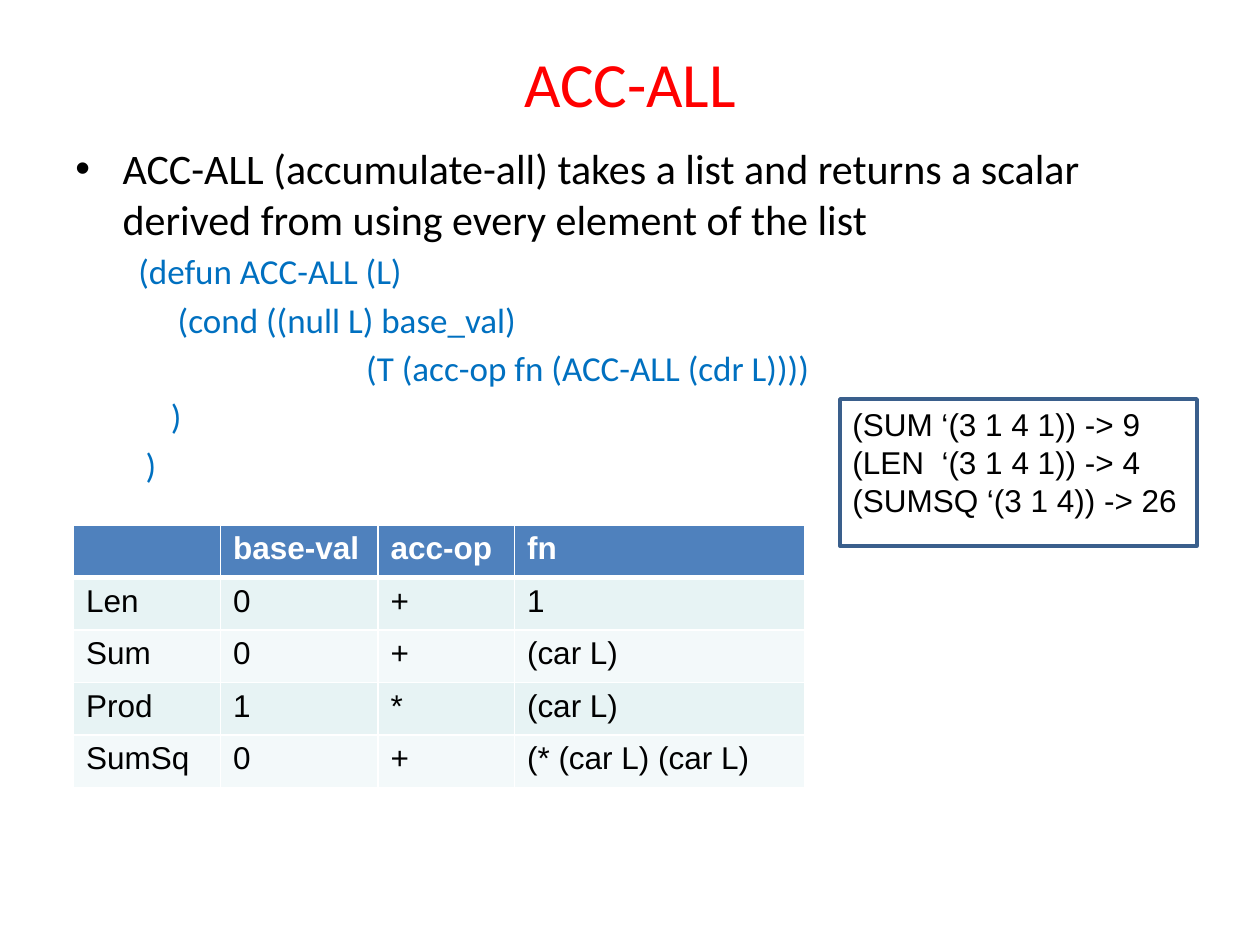
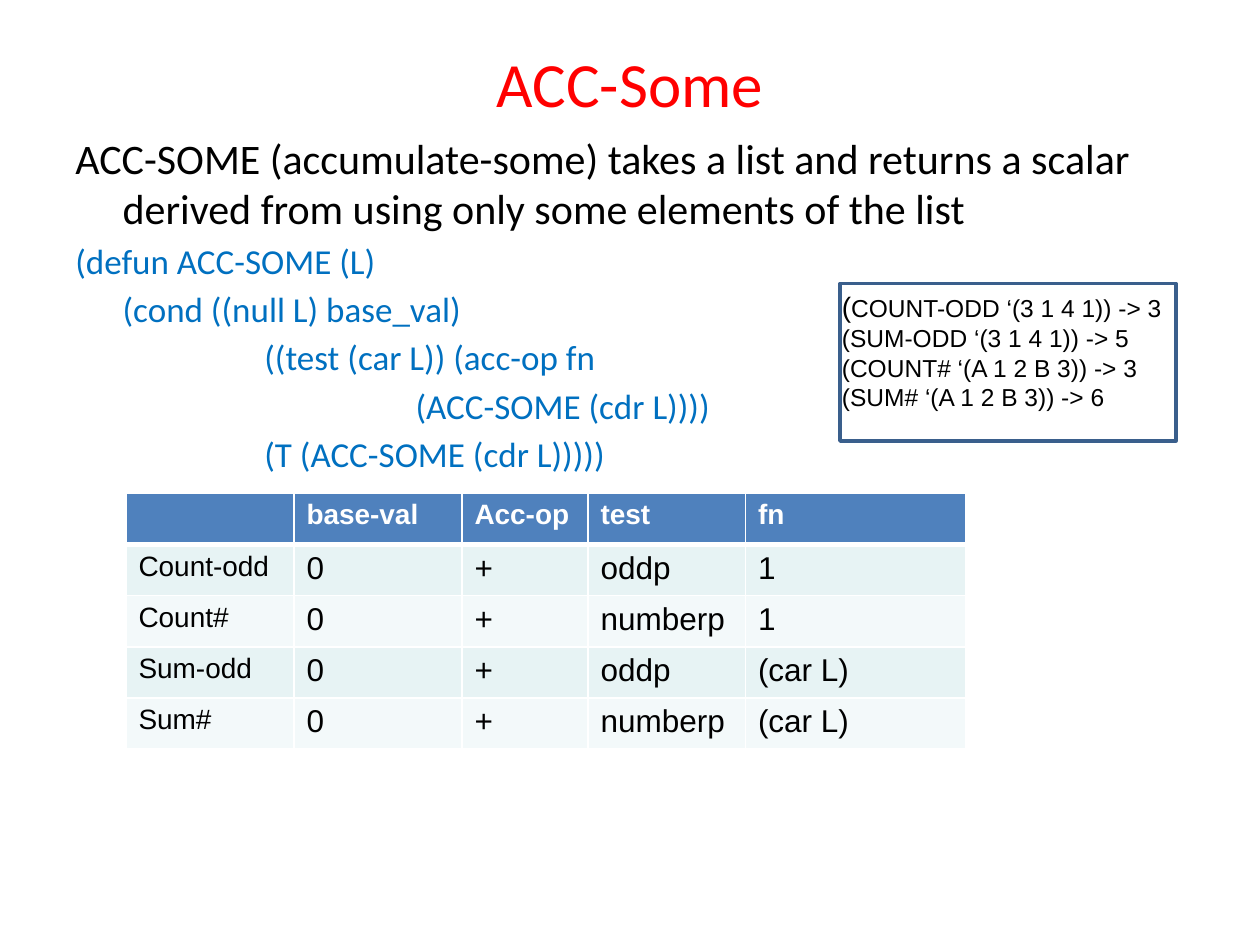
"""Builds two slides on accumulating functions over lists."""
from dataclasses import dataclass

from lxml import etree
from pptx import Presentation
from pptx.dml.color import RGBColor
from pptx.enum.shapes import MSO_SHAPE
from pptx.enum.text import MSO_ANCHOR, MSO_AUTO_SIZE, PP_ALIGN
from pptx.oxml.ns import qn
from pptx.util import Inches, Pt

RECTANGLE = MSO_SHAPE.RECTANGLE
MIDDLE = MSO_ANCHOR.MIDDLE
NO_FIT = MSO_AUTO_SIZE.NONE
CENTER = PP_ALIGN.CENTER

UNIT = Inches(1) // 12  # one grid step: the slide is 120 columns by 90 rows
COLUMNS, ROWS = 120, 90
TITLE_ONLY = 5


@dataclass(frozen=True)
class Theme:
    """Colours, fonts and type sizes of the deck."""
    title: str = "FF0000"
    ink: str = "000000"
    code: str = "0070C0"
    paper: str = "FFFFFF"
    header: str = "4F81BD"
    bands: tuple = ("E7F3F4", "F3F9FA")
    frame: str = "3A5F8C"
    text_font: str = "Calibri"
    data_font: str = "Arial"
    title_size: int = 36
    statement_size: int = 24
    code_size: int = 20
    cell_size: int = 18
    small_cell_size: int = 16
    gap_share: float = 0.18
    hanging: float = 4.5
    thin: int = 1
    thick: int = 3


THEME = Theme()


def grid(*steps):
    """Turn grid steps into lengths."""
    return [round(step * UNIT) for step in steps]


def add_span(para, text, size, color, font, bold=False):
    """Add one formatted run to a paragraph."""
    span = para.add_run()
    span.text = text
    span.font.size = Pt(size)
    span.font.name = font
    span.font.bold = bold
    span.font.color.rgb = RGBColor.from_string(color)


def add_title(page, text):
    """Move and format the title placeholder."""
    title = page.shapes.title
    title.left, title.top, title.width, title.height = grid(6, 3.6, 108, 8.4)
    frame = title.text_frame
    frame.auto_size = NO_FIT
    frame.vertical_anchor = MIDDLE
    para = frame.paragraphs[0]
    para.alignment = CENTER
    add_span(para, text, THEME.title_size, THEME.title, THEME.text_font)


def add_frame(page, place):
    """Add a wrapping text box and return its text frame."""
    frame = page.shapes.add_textbox(*grid(*place)).text_frame
    frame.word_wrap = True
    return frame


def next_para(frame, index):
    """Return the first paragraph for index 0, else a new one."""
    return frame.add_paragraph() if index else frame.paragraphs[0]


def set_indent(para, left, hanging=0):
    """Set the left margin and hanging indent in grid columns."""
    margin, first = grid(left, -hanging)
    properties = para._p.get_or_add_pPr()
    properties.set("marL", str(margin))
    properties.set("indent", str(first))
    return properties


def add_body(page, top, statement, code, bullet):
    """Add a statement followed by (indent, text) lines of code."""
    frame = add_frame(page, (6, top, 108, 80.4 - top))
    para = frame.paragraphs[0]
    para.space_before = Pt(THEME.statement_size * THEME.gap_share)
    properties = set_indent(para, THEME.hanging, THEME.hanging)
    if bullet:
        etree.SubElement(properties, qn("a:buFont"), typeface=THEME.data_font)
        etree.SubElement(properties, qn("a:buChar"), char="•")
    add_span(para, statement, THEME.statement_size, THEME.ink, THEME.text_font)
    for indent, text in code:
        para = frame.add_paragraph()
        para.space_before = Pt(THEME.code_size * THEME.gap_share)
        set_indent(para, indent)
        add_span(para, text, THEME.code_size, THEME.code, THEME.text_font)


def set_borders(cell, row):
    """Draw white cell borders, thick between header and data."""
    widths = {"L": THEME.thin, "R": THEME.thin,
              "T": THEME.thick if row == 1 else THEME.thin,
              "B": THEME.thick if row == 0 else THEME.thin}
    properties = cell._tc.get_or_add_tcPr()
    for index, (side, width) in enumerate(widths.items()):
        line = etree.Element(qn(f"a:ln{side}"), w=str(Pt(width)))
        fill = etree.SubElement(line, qn("a:solidFill"))
        etree.SubElement(fill, qn("a:srgbClr"), val=THEME.paper)
        properties.insert(index, line)


def add_grid_table(page, left, top, widths, row_height, rows, label_size):
    """Add a banded table; label_size is for the header and first column."""
    place = grid(left, top, sum(widths), row_height * len(rows))
    table = page.shapes.add_table(len(rows), len(widths), *place).table
    for column, width in zip(table.columns, grid(*widths)):
        column.width = width
    for row, texts in enumerate(rows):
        table.rows[row].height = grid(row_height)[0]
        is_header = row == 0
        fill = THEME.header if is_header else THEME.bands[(row - 1) % 2]
        color = THEME.paper if is_header else THEME.ink
        for column, text in enumerate(texts):
            cell = table.cell(row, column)
            cell.fill.solid()
            cell.fill.fore_color.rgb = RGBColor.from_string(fill)
            set_borders(cell, row)
            if text:
                is_label = is_header or column == 0
                size = label_size if is_label else THEME.cell_size
                add_span(cell.text_frame.paragraphs[0], text, size, color,
                         THEME.data_font, is_header)


def add_examples(page, text_place, frame_place, lines):
    """Add lines of (text, size) spans with a rectangle around them."""
    frame = add_frame(page, text_place)
    for index, spans in enumerate(lines):
        para = next_para(frame, index)
        for text, size in spans:
            add_span(para, text, size, THEME.ink, THEME.data_font)
    box = page.shapes.add_shape(RECTANGLE, *grid(*frame_place))
    box.shadow.inherit = False
    box.fill.background()
    box.line.color.rgb = RGBColor.from_string(THEME.frame)
    box.line.width = Pt(2)


def add_page(deck, title):
    """Add a titled slide."""
    page = deck.slides.add_slide(deck.slide_layouts[TITLE_ONLY])
    add_title(page, title)
    return page


def build_acc_all(deck):
    """Slide on accumulating every element."""
    page = add_page(deck, "ACC-ALL")
    add_body(page, 13,
             "ACC-ALL (accumulate-all) takes a list and returns a scalar "
             "derived from using every element of the list",
             [(6, "(defun ACC-ALL (L)"),
              (9.75, "(cond ((null L) base_val)"),
              (27.7, "(T (acc-op fn (ACC-ALL (cdr L))))"),
              (9.1, ")"),
              (6.7, ")")], bullet=True)
    add_grid_table(page, 7, 50, (14, 15, 13, 27.6), 5,
                   [("", "base-val", "acc-op", "fn"),
                    ("Len", "0", "+", "1"),
                    ("Sum", "0", "+", "(car L)"),
                    ("Prod", "1", "*", "(car L)"),
                    ("SumSq", "0", "+", "(* (car L) (car L)")],
                   THEME.cell_size)
    add_examples(page, (80, 38, 35, 12.5), (80, 38, 34, 14),
                 [[("(SUM ‘(3 1 4 1)) -> 9", 18)],
                  [("(LEN  ‘(3 1 4 1)) -> 4", 18)],
                  [("(SUMSQ ‘(3 1 4)) -> 26", 18)]])


def build_acc_some(deck):
    """Slide on accumulating selected elements."""
    page = add_page(deck, "ACC-Some")
    add_body(page, 12,
             "ACC-SOME (accumulate-some) takes a list and returns a scalar "
             "derived from using only some elements of the list",
             [(0, "(defun ACC-SOME (L)"),
              (4.5, "(cond ((null L) base_val)"),
              (18, "((test (car L)) (acc-op fn"),
              (32.4, "(ACC-SOME (cdr L))))"),
              (18, "(T (ACC-SOME (cdr L)))))")], bullet=False)
    add_grid_table(page, 12, 47, (16, 16, 12, 15, 21), 4.87,
                   [("", "base-val", "Acc-op", "test", "fn"),
                    ("Count-odd", "0", "+", "oddp", "1"),
                    ("Count#", "0", "+", "numberp", "1"),
                    ("Sum-odd", "0", "+", "oddp", "(car L)"),
                    ("Sum#", "0", "+", "numberp", "(car L)")],
                   THEME.small_cell_size)
    add_examples(page, (79, 27, 36, 13), (80, 27, 32, 15),
                 [[("(", 16), ("COUNT-ODD ‘(3 1 4 1)) -> 3", 14)],
                  [("(SUM-ODD ‘(3 1 4 1)) -> 5", 14)],
                  [("(COUNT# ‘(A 1 2 B 3)) -> 3", 14)],
                  [("(SUM# ‘(A 1 2 B 3)) -> 6", 14)]])


def main():
    """Build and save the deck."""
    deck = Presentation()
    deck.slide_width, deck.slide_height = grid(COLUMNS, ROWS)
    build_acc_all(deck)
    build_acc_some(deck)
    deck.save("out.pptx")


main()
